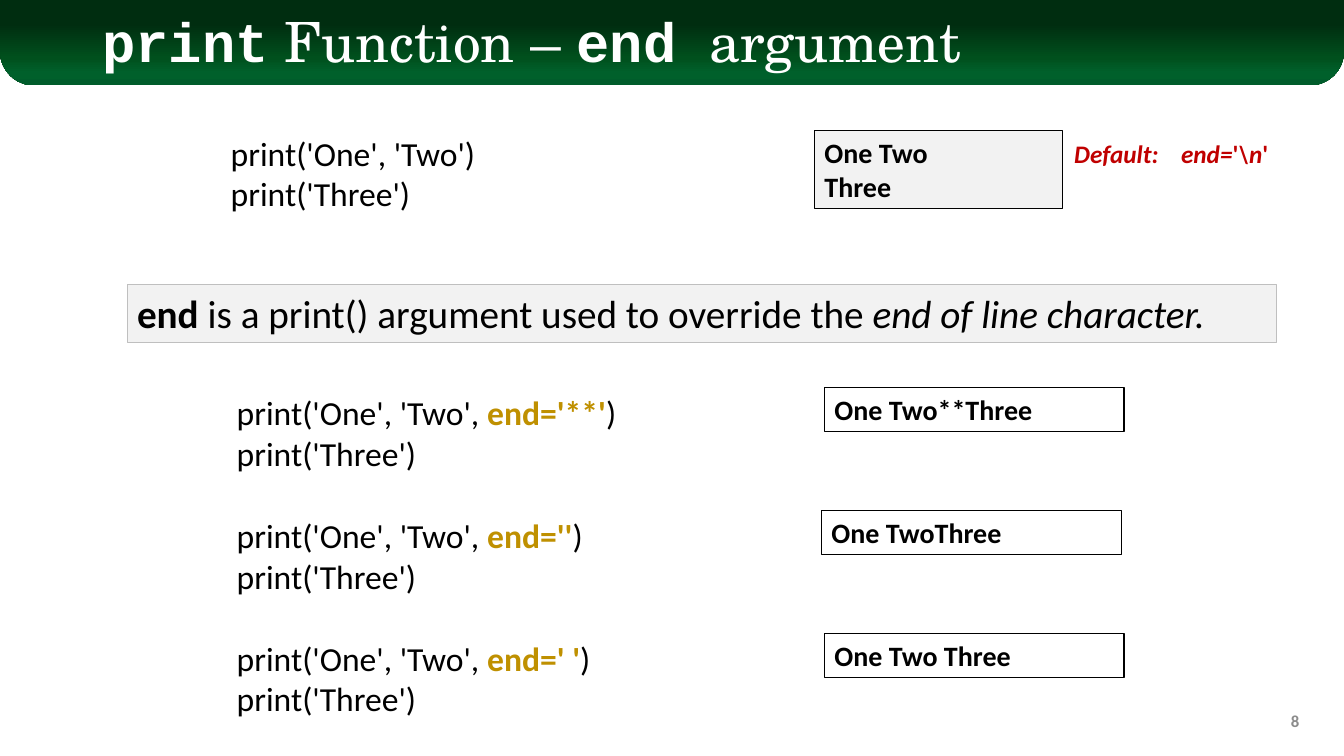
import pptx
import pptx.util
import pptx.dml.color
import pptx.enum.shapes
import pptx.enum.text
import pptx.oxml
from lxml import etree

Pt = pptx.util.Pt
RGB = pptx.dml.color.RGBColor.from_string
SHAPE = pptx.enum.shapes.MSO_SHAPE
ALIGN = pptx.enum.text.PP_ALIGN
ANCHOR = pptx.enum.text.MSO_ANCHOR
A = "{http://schemas.openxmlformats.org/drawingml/2006/main}"

COLORS = {
    "text": "000000", "white": "FFFFFF", "panel": "F2F2F2", "border": "BFBFBF",
    "gold": "BF9000", "red": "C00000", "number": "8C8C8C",
}
BANNER_STOPS = [(28, "002D10"), (68, "00501D"), (85, "00602B"), (100, "005C2B")]

prs = pptx.Presentation()
prs.slide_width, prs.slide_height = Pt(960), Pt(540)
s = prs.slides.add_slide(prs.slide_layouts[6])


def add_text(box, lines, size, color="text", wrap=True, anchor=ANCHOR.TOP, **base):
    """Add a text box, or a bordered one if box is a shape; a line is a list of (text, font changes)."""
    sp = s.shapes.add_textbox(*map(Pt, box)) if isinstance(box, tuple) else box
    tf = sp.text_frame
    tf.word_wrap = wrap
    tf.vertical_anchor = anchor
    for i, line in enumerate(lines):
        p = tf.paragraphs[0] if i == 0 else tf.add_paragraph()
        p.alignment = ALIGN.LEFT
        for text, changes in line:
            style = {"name": "Calibri", "color": color, **base, **changes}
            r = p.add_run()
            r.text = text
            r.font.size = Pt(size)
            r.font.name = style["name"]
            r.font.bold = style.get("bold", False)
            r.font.italic = style.get("italic", False)
            r.font.color.rgb = RGB(COLORS[style["color"]])
    return tf


def add_box(left, top, width, height, fill=None, border="text"):
    sp = s.shapes.add_shape(SHAPE.RECTANGLE, Pt(left), Pt(top), Pt(width), Pt(height))
    sp.shadow.inherit = False
    if fill:
        sp.fill.solid()
        sp.fill.fore_color.rgb = RGB(COLORS[fill])
    else:
        sp.fill.background()
    sp.line.color.rgb = RGB(COLORS[border])
    sp.line.width = Pt(0.75)
    return sp


# Banner with rounded lower corners
banner = s.shapes.add_shape(SHAPE.ROUND_2_SAME_RECTANGLE, 0, 0, Pt(960), Pt(61))
banner.shadow.inherit = False
banner.adjustments[0], banner.adjustments[1] = 0, 0.4
banner.line.fill.background()
banner.fill.gradient()
banner.fill.gradient_angle = 270
stops = next(banner.element.iter(A + "gsLst"))
for gs in list(stops):
    stops.remove(gs)
for position, color in BANNER_STOPS:
    gs = etree.SubElement(stops, A + "gs", pos=str(position * 1000))
    etree.SubElement(gs, A + "srgbClr", val=color)

code = {"name": "Courier New", "bold": True}
title = add_text((66, 9.5, 828, 44), [[
    ("print", code), (" Function – ", {}), ("end ", code), ("argument", {}),
]], 39.6, "white", anchor=ANCHOR.MIDDLE, name="TeX Gyre Schola")
title.paragraphs[0].line_spacing = 0.9

number = add_text((719.3, 500.5, 216, 28.8), [[("8", {})]], 12, "number",
                  anchor=ANCHOR.MIDDLE, bold=True)
number.paragraphs[0].alignment = ALIGN.RIGHT

# Default behaviour
add_text(add_box(581.8, 93.3, 177.1, 55.7, "panel"),
         [[("One Two", {})], [("Three", {})]], 20, bold=True)
add_text((157.7, 91.4, 190.8, 65.4),
         [[("print('One', 'Two')", {})], [("print('Three')", {})]], 24, wrap=False)
upright = {"italic": False}
default = add_text((760.2, 95.2, 155.5, 29.1), [[
    ("Default:\tend=", {}), ("'", upright), ("\\n", {}), ("'", upright),
]], 18, "red", wrap=False, bold=True, italic=True)
tabs = etree.SubElement(default.paragraphs[0]._p.get_or_add_pPr(), A + "tabLst")
etree.SubElement(tabs, A + "tab", pos=str(Pt(76.4)), algn="l")

# Definition
add_text(add_box(90.8, 203.4, 821, 41.2, "panel", "border"), [[
    ("end ", {"bold": True}),
    ("is a print() argument used to override the ", {}),
    ("end of line character.", {"italic": True}),
]], 28)

# Examples: end argument, printed output, left edge of the output box
EXAMPLES = [
    ("end='**'", "One Two**Three", 588.9),
    ("end=''", "One TwoThree", 586.8),
    ("end=' '", "One Two Three", 588.9),
]
for i, (argument, output, left) in enumerate(EXAMPLES):
    top = 276.6 + 87.8 * i
    add_text((162, top, 328.3, 65.4), [
        [("print('One', 'Two', ", {}), (argument, {"color": "gold", "bold": True}), (")", {})],
        [("print('Three')", {})],
    ], 24)
    add_text(add_box(left, top, 214, 31.5), [[(output, {})]], 20, bold=True)

prs.save("out.pptx")
